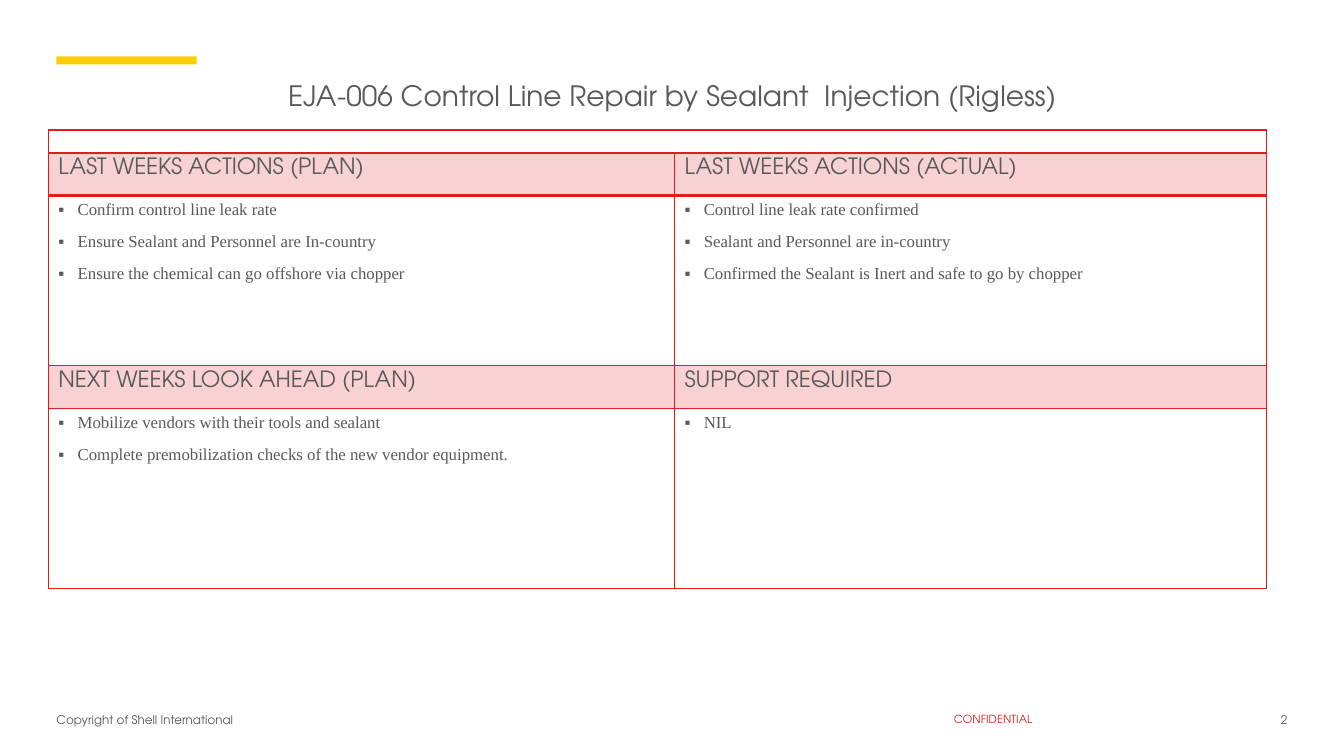
from dataclasses import dataclass

from lxml.etree import SubElement
from pptx import Presentation
from pptx.dml.color import RGBColor
from pptx.enum.shapes import MSO_SHAPE as Shape
from pptx.enum.text import MSO_ANCHOR as Anchor, PP_ALIGN as Align
from pptx.oxml.ns import qn
from pptx.util import Inches, Pt


@dataclass(frozen=True)
class Theme:
    text: str = "595959"
    red: str = "DD1D21"
    yellow: str = "FBCE07"
    head_font: str = "TeX Gyre Adventor"
    body_font: str = "Times New Roman"
    title_size: float = 20
    head_size: float = 16
    body_size: float = 12
    foot_size: float = 8.5
    label_size: float = 8
    head_alpha: int = 20


T = Theme()

TITLE = "EJA-006 Control Line Repair by Sealant  Injection (Rigless)"
SECTIONS = [
    [
        ("LAST WEEKS ACTIONS (PLAN)", [
            "Confirm control line leak rate",
            "Ensure Sealant and Personnel are In-country",
            "Ensure the chemical can go offshore via chopper",
        ]),
        ("LAST WEEKS ACTIONS (ACTUAL)", [
            "Control line leak rate confirmed",
            "Sealant and Personnel are in-country",
            "Confirmed the Sealant is Inert and safe to go by chopper",
        ]),
    ],
    [
        ("NEXT WEEKS LOOK AHEAD (PLAN)", [
            "Mobilize vendors with their tools and sealant",
            "Complete premobilization checks of the new vendor equipment.",
        ]),
        ("SUPPORT REQUIRED", ["NIL"]),
    ],
]
# text, left, top, width, height, alignment, size, colour
FOOTERS = [
    ("Copyright of Shell International", 0.56, 7.07, 3.67, 0.26, Align.LEFT, T.foot_size, T.text),
    ("CONFIDENTIAL", 9.26, 7.07, 1.18, 0.19, Align.CENTER, T.label_size, T.red),
    ("2", 12.38, 7.07, 0.39, 0.26, Align.RIGHT, T.foot_size, T.text),
]
TABLE_LEFT, TABLE_TOP = 0.48, 1.29
COLS = [6.21, 5.87]
ROWS = [0.23, 0.42, 1.69, 0.42, 1.79]


def style(p, font, size, color=T.text):
    for r in p.runs:
        r.font.name, r.font.size = font, Pt(size)
        r.font.color.rgb = RGBColor.from_string(color)


def set_margins(tf, bottom=0):
    tf.margin_left = tf.margin_right = tf.margin_top = 0
    tf.margin_bottom = Inches(bottom)


def add_bullet(p):
    pPr = p._p.get_or_add_pPr()
    pPr.set("marL", str(Inches(0.19)))
    pPr.set("indent", str(-Inches(0.19)))
    SubElement(pPr, qn("a:buFont"), typeface=T.body_font)
    SubElement(pPr, qn("a:buChar"), char="▪")


def set_borders(cell, top, bottom):
    """Draw red borders; top and bottom are widths in points."""
    tcPr = cell._tc.get_or_add_tcPr()
    for side, width in (("L", 1), ("R", 1), ("T", top), ("B", bottom)):
        ln = SubElement(tcPr, qn(f"a:ln{side}"), w=str(Pt(width)))
        fill = SubElement(ln, qn("a:solidFill"))
        SubElement(fill, qn("a:srgbClr"), val=T.red)


def fill_header(cell, text):
    cell.fill.solid()
    cell.fill.fore_color.rgb = RGBColor.from_string(T.red)
    color = cell._tc.tcPr.find(qn("a:solidFill")).find(qn("a:srgbClr"))
    SubElement(color, qn("a:alpha"), val=str(T.head_alpha * 1000))
    cell.margin_top = Inches(0.05)
    cell.text_frame.text = text
    style(cell.text_frame.paragraphs[0], T.head_font, T.head_size)


def fill_list(cell, items):
    tf = cell.text_frame
    tf.text = "\n".join(items)
    for i, p in enumerate(tf.paragraphs):
        add_bullet(p)
        p.space_before = Pt(0.5 * T.body_size if i else 0)
        p.space_after = Pt(0.3 * T.body_size)
        style(p, T.body_font, T.body_size)


def add_footer(s, text, left, top, width, height, align, size, color):
    box = s.shapes.add_textbox(Inches(left), Inches(top), Inches(width), Inches(height))
    tf = box.text_frame
    tf.word_wrap = True
    set_margins(tf, 0.05)
    tf.text = text
    p = tf.paragraphs[0]
    p.alignment = align
    style(p, T.head_font, size, color)


def add_status_table(s):
    frame = s.shapes.add_table(len(ROWS), len(COLS), Inches(TABLE_LEFT), Inches(TABLE_TOP),
                               Inches(sum(COLS)), Inches(sum(ROWS)))
    table = frame.table
    table.first_row = table.horz_banding = False
    for col, width in zip(table.columns, COLS):
        col.width = Inches(width)
    for row, height in zip(table.rows, ROWS):
        row.height = Inches(height)

    line_widths = [1, 2, 2, 1, 1, 1]
    for i, row in enumerate(table.rows):
        for cell in row.cells:
            set_borders(cell, line_widths[i], line_widths[i + 1])
            cell.fill.background()

    strip = table.cell(0, 0)
    strip.merge(table.cell(0, 1))
    strip.margin_top = strip.margin_bottom = 0
    SubElement(strip.text_frame.paragraphs[0]._p, qn("a:endParaRPr"), sz=str(T.label_size * 100))

    for i, band in enumerate(SECTIONS):
        for j, (heading, items) in enumerate(band):
            fill_header(table.cell(1 + 2 * i, j), heading)
            fill_list(table.cell(2 + 2 * i, j), items)


def main():
    prs = Presentation()
    prs.slide_width, prs.slide_height = Inches(13.33), Inches(7.5)
    s = prs.slides.add_slide(prs.slide_layouts[5])

    bar = s.shapes.add_shape(Shape.RECTANGLE, Inches(0.56), Inches(0.56), Inches(1.39), Inches(0.08))
    bar.shadow.inherit = False
    bar.fill.solid()
    bar.fill.fore_color.rgb = RGBColor.from_string(T.yellow)
    bar.line.fill.background()

    title = s.shapes.title
    title.left, title.top = Inches(0.56), Inches(0.78)
    title.width, title.height = Inches(12.22), Inches(0.5)
    tf = title.text_frame
    tf.text = TITLE
    tf.vertical_anchor = Anchor.TOP
    set_margins(tf)
    tf.paragraphs[0].alignment = Align.CENTER
    style(tf.paragraphs[0], T.head_font, T.title_size)

    add_status_table(s)
    for footer in FOOTERS:
        add_footer(s, *footer)
    prs.save("out.pptx")


if __name__ == "__main__":
    main()
